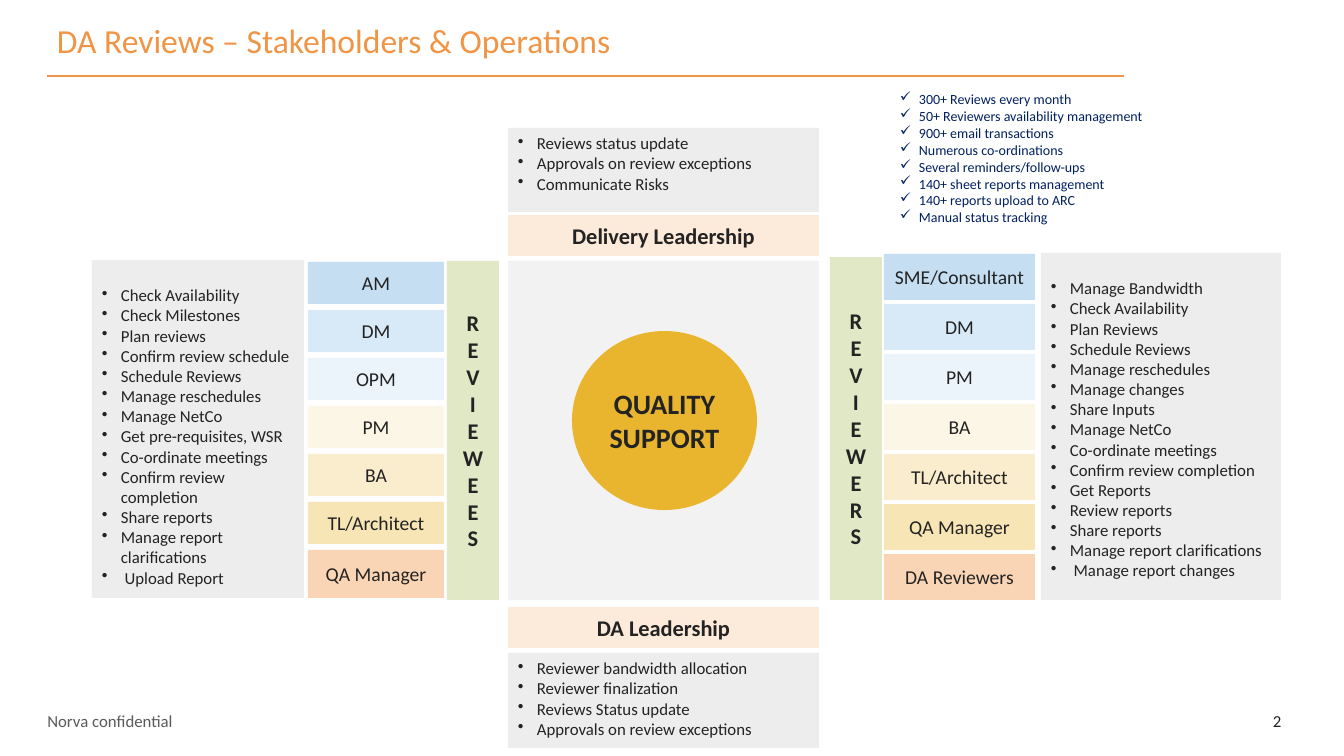
from lxml import etree
from pptx import Presentation
from pptx.dml.color import RGBColor
from pptx.enum.shapes import MSO_CONNECTOR, MSO_SHAPE
from pptx.enum.text import MSO_ANCHOR, MSO_AUTO_SIZE, PP_ALIGN
from pptx.oxml.ns import qn
from pptx.util import Pt

SCALE = 914400 / 100.8
FONT = "Calibri"
RECT, OVAL = MSO_SHAPE.RECTANGLE, MSO_SHAPE.OVAL
STRAIGHT = MSO_CONNECTOR.STRAIGHT
TOP, MIDDLE = MSO_ANCHOR.TOP, MSO_ANCHOR.MIDDLE
LEFT, CENTER = PP_ALIGN.LEFT, PP_ALIGN.CENTER
GROW = MSO_AUTO_SIZE.SHAPE_TO_FIT_TEXT

INK = RGBColor(0x23, 0x23, 0x23)
GREY = RGBColor(0x5A, 0x5A, 0x5A)
NAVY = RGBColor(0x00, 0x20, 0x60)
ORANGE = RGBColor(0xEF, 0x95, 0x45)
GOLD = RGBColor(0xE9, 0xB5, 0x2F)
GREEN = RGBColor(0xE0, 0xE8, 0xC5)
PEACH = RGBColor(0xFC, 0xEA, 0xDA)
PANEL = RGBColor(0xEC, 0xED, 0xEC)
PALE = RGBColor(0xF2, 0xF2, 0xF2)
TINTS = [
    RGBColor(0xC5, 0xDE, 0xF2),
    RGBColor(0xD8, 0xE9, 0xF7),
    RGBColor(0xEC, 0xF4, 0xFB),
    RGBColor(0xFC, 0xF6, 0xE6),
    RGBColor(0xFA, 0xED, 0xCD),
    RGBColor(0xF7, 0xE5, 0xB5),
    RGBColor(0xF9, 0xD5, 0xB5),
]

FACTS = [
    "300+ Reviews every month", "50+ Reviewers availability management",
    "900+ email transactions", "Numerous co-ordinations",
    "Several reminders/follow-ups", "140+ sheet reports management",
    "140+ reports upload to ARC", "Manual status tracking",
]
UPPER = ["Reviews status update", "Approvals on review exceptions",
         "Communicate Risks"]
LOWER = ["Reviewer bandwidth allocation", "Reviewer finalization",
         "Reviews Status update", "Approvals on review exceptions"]
WEST = [
    "Check Availability", "Check Milestones", "Plan reviews",
    "Confirm review schedule", "Schedule Reviews", "Manage reschedules",
    "Manage NetCo", "Get pre-requisites, WSR", "Co-ordinate meetings",
    "Confirm review completion", "Share reports",
    "Manage report clarifications", " Upload Report",
]
EAST = [
    "Manage Bandwidth", "Check Availability", "Plan Reviews",
    "Schedule Reviews", "Manage reschedules", "Manage changes",
    "Share Inputs", "Manage NetCo", "Co-ordinate meetings",
    "Confirm review completion", "Get Reports", "Review reports",
    "Share reports", "Manage report clarifications",
    " Manage report changes",
]
WEST_ROLES = ["AM", "DM", "OPM", "PM", "BA", "TL/Architect", "QA Manager"]
EAST_ROLES = ["SME/Consultant", "DM", "PM", "BA", "TL/Architect",
              "QA Manager", "DA Reviewers"]


def px(count):
    return round(count * SCALE)


def frame(box):
    return [px(side) for side in box]


def write(shape, lines, size, color=INK, bold=False, align=CENTER,
          anchor=MIDDLE, mark=None):
    text = shape.text_frame
    text.word_wrap = True
    text.vertical_anchor = anchor
    for rank, line in enumerate(lines):
        para = text.paragraphs[0] if rank == 0 else text.add_paragraph()
        para.alignment = align
        if mark:
            props = para._p.get_or_add_pPr()
            props.set("marL", str(px(19)))
            props.set("indent", str(-px(19)))
            etree.SubElement(props, qn("a:buChar")).set("char", mark)
        run = para.add_run()
        run.text = line
        run.font.name = FONT
        run.font.size = Pt(size)
        run.font.bold = bold
        run.font.color.rgb = color
    return text


def block(slide, box, fill, kind=RECT):
    shape = slide.shapes.add_shape(kind, *frame(box))
    shape.shadow.inherit = False
    shape.fill.solid()
    shape.fill.fore_color.rgb = fill
    shape.line.fill.background()
    return shape


def label(slide, box, line, size, **style):
    shape = slide.shapes.add_textbox(*frame(box))
    return write(shape, [line], size, **style)


def panel(slide, box, lines, inset=5):
    shape = block(slide, box, PANEL)
    text = write(shape, lines, 12, align=LEFT, anchor=TOP, mark="•")
    text.margin_top = px(inset)


def banner(slide, top, line):
    write(block(slide, (508, top, 311, 41), PEACH), [line], 16, bold=True)


def pillar(slide, box, word):
    text = write(block(slide, box, GREEN), [word], 16, bold=True, anchor=TOP)
    text.auto_size = GROW
    text._txBody.bodyPr.set("vert", "wordArtVert")


def stack(slide, left, top, width, step, high, last, roles):
    for rank, (role, tint) in enumerate(zip(roles, TINTS)):
        tall = last if rank == len(roles) - 1 else high
        cell = block(slide, (left, top + rank * step, width, tall), tint)
        write(cell, [role], 14)


def rule(slide):
    line = slide.shapes.add_connector(
        STRAIGHT, px(47), px(76), px(1124), px(76))
    line.line.color.rgb = ORANGE
    line.line.width = Pt(1)
    etree.SubElement(line._element.spPr, qn("a:effectLst"))


def main():
    deck = Presentation()
    deck.slide_width, deck.slide_height = px(1344), px(756)
    slide = deck.slides.add_slide(deck.slide_layouts[6])

    rule(slide)
    title = label(slide, (47, 19, 1077, 66),
                  "DA Reviews – Stakeholders & Operations", 24,
                  color=ORANGE, align=LEFT, anchor=TOP)
    title.paragraphs[0].line_spacing = 0.9
    label(slide, (18, 708, 184, 25), "Norva confidential", 12, color=GREY)
    label(slide, (1263, 706, 40, 30), "2", 12, align=LEFT, anchor=TOP)
    facts = slide.shapes.add_textbox(*frame((890, 86, 296, 163)))
    write(facts, FACTS, 10, color=NAVY, align=LEFT, anchor=TOP, mark="✓")

    block(slide, (508, 261, 311, 339), PALE)
    hub = block(slide, (572, 331, 185, 179), GOLD, OVAL)
    write(hub, ["QUALITY SUPPORT"], 20, bold=True)

    panel(slide, (508, 128, 311, 84), UPPER)
    banner(slide, 215, "Delivery Leadership")
    banner(slide, 607, "DA Leadership")
    panel(slide, (508, 653, 311, 95), LOWER)

    panel(slide, (92, 260, 212, 338), WEST, 25)
    stack(slide, 308, 262, 136, 48, 42, 48, WEST_ROLES)
    pillar(slide, (447, 261, 52, 339), "REVIEWEES")

    pillar(slide, (830, 257, 52, 343), "REVIEWERS")
    stack(slide, 884, 254, 151, 50, 46, 46, EAST_ROLES)
    panel(slide, (1041, 253, 240, 347), EAST, 25)

    deck.save("out.pptx")


main()
